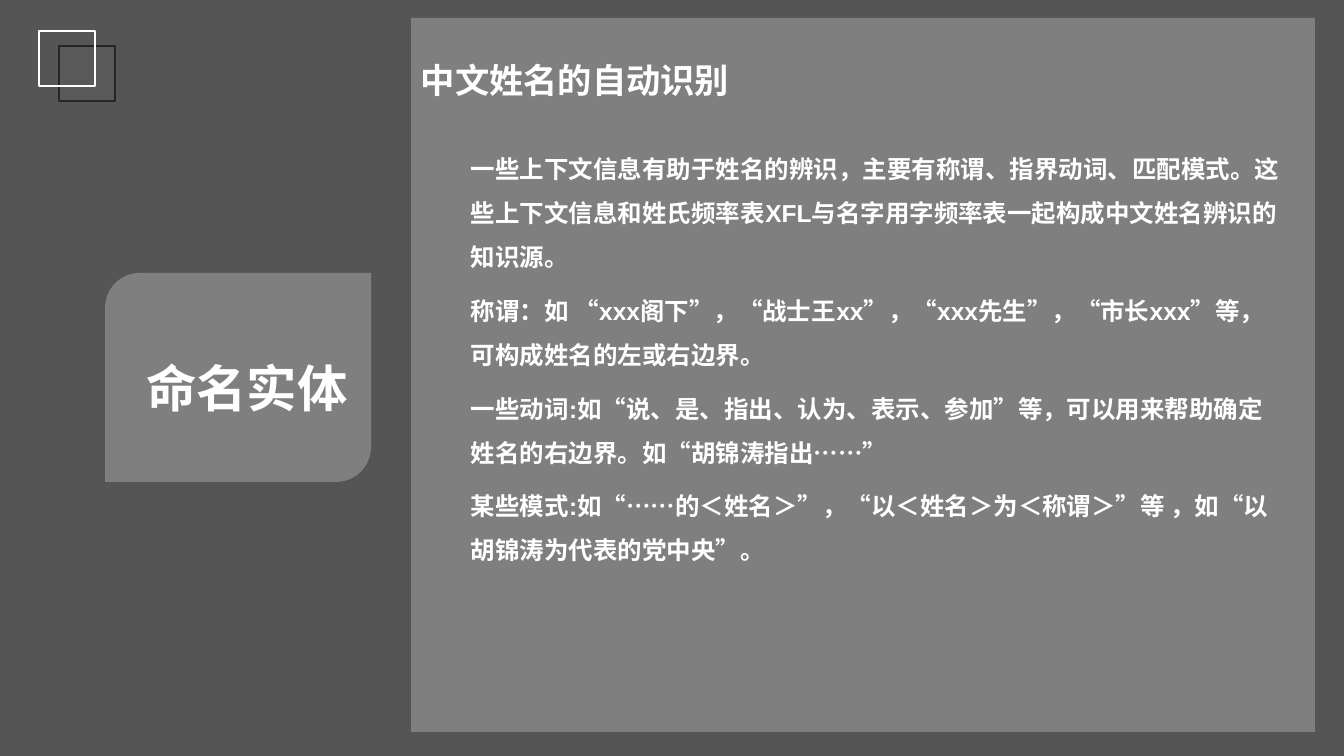
"""Build the slide on automatic recognition of Chinese personal names."""
from dataclasses import dataclass

from lxml import etree
from pptx import Presentation
from pptx.dml.color import RGBColor
from pptx.enum.shapes import MSO_SHAPE
from pptx.enum.text import MSO_ANCHOR, MSO_AUTO_SIZE, PP_ALIGN
from pptx.oxml.ns import qn
from pptx.util import Emu, Pt

RECT = MSO_SHAPE.RECTANGLE
LEAF = MSO_SHAPE.ROUND_2_DIAG_RECTANGLE
TOP, MIDDLE = MSO_ANCHOR.TOP, MSO_ANCHOR.MIDDLE
LEFT, CENTER = PP_ALIGN.LEFT, PP_ALIGN.CENTER
FIXED = MSO_AUTO_SIZE.NONE

TITLE = "命名实体"
HEAD = "中文姓名的自动识别"
BODY = [
    "一些上下文信息有助于姓名的辨识，主要有称谓、指界动词、匹配模式。这些上下文信息和姓氏频率表XFL与名字用字频率表一起构成中文姓名辨识的知识源。",
    "称谓：如 “xxx阁下”，“战士王xx”，“xxx先生”，“市长xxx”等，可构成姓名的左或右边界。",
    "一些动词:如“说、是、指出、认为、表示、参加”等，可以用来帮助确定姓名的右边界。如“胡锦涛指出……”",
    "某些模式:如“……的＜姓名＞”，“以＜姓名＞为＜称谓＞”等 ，如“以胡锦涛为代表的党中央”。",
]


@dataclass(frozen=True)
class Theme:
    """Hold the colours, fonts and type sizes."""
    white: str = "FFFFFF"
    shade: str = "0D0D0D"
    gray: str = "595959"
    edge: str = "262626"
    cjk: str = "Noto Sans CJK SC"
    latin: str = "Arial"
    title: float = 36
    head: float = 24.5
    body: float = 17.5


LOOK = Theme()
PX = 914400 / 100.8
WIDE, HIGH = 1344, 756
INDENT = 50

SHAPES = [
    (RECT, (0, 0, WIDE, HIGH), LOOK.shade, 70, None),
    (RECT, (59, 46, 56, 55), LOOK.gray, 100, LOOK.edge),
    (RECT, (39, 31, 56, 55), None, 100, LOOK.white),
    (LEAF, (105, 273, 266, 209), LOOK.white, 25, None),
    (RECT, (411, 18, 904, 714), LOOK.white, 25, None),
]
TITLE_BOX = (115, 351, 264, 73)
TEXT_BOX = (411, 31, 887, 678)


def px(num):
    """Turn px into EMU."""
    return Emu(round(num * PX))


def draw(slide, kind, box, fill, alpha, line):
    """Add one preset shape."""
    shape = slide.shapes.add_shape(kind, *map(px, box))
    shape.shadow.inherit = False
    if fill:
        shape.fill.solid()
        shape.fill.fore_color.rgb = RGBColor.from_string(fill)
        if alpha < 100:
            tint = shape.fill._xPr.find(".//" + qn("a:srgbClr"))
            etree.SubElement(tint, qn("a:alpha"), val=str(alpha * 1000))
    else:
        shape.fill.background()
    if line:
        shape.line.color.rgb = RGBColor.from_string(line)
        shape.line.width = Pt(1)
    else:
        shape.line.fill.background()


def write(para, text, size, face, align=LEFT):
    """Add one bold white run."""
    para.alignment = align
    run = para.add_run()
    run.text = text
    font = run.font
    font.size, font.bold, font.name = Pt(size), True, face
    font.color.rgb = RGBColor.from_string(LOOK.white)
    latin = run._r.rPr.find(qn("a:latin"))
    east = etree.Element(qn("a:ea"), typeface=LOOK.cjk)
    latin.addnext(east)


def frame(shape, wrap, anchor):
    """Set up and return a text frame."""
    text = shape.text_frame
    text.word_wrap, text.auto_size = wrap, FIXED
    text.vertical_anchor = anchor
    return text


def main():
    """Make the deck and save it."""
    deck = Presentation()
    deck.slide_width, deck.slide_height = px(WIDE), px(HIGH)
    slide = deck.slides.add_slide(deck.slide_layouts[5])
    for item in SHAPES:
        draw(slide, *item)

    title = slide.shapes.title
    title.left, title.top, title.width, title.height = map(px, TITLE_BOX)
    para = frame(title, False, MIDDLE).paragraphs[0]
    para.line_spacing = 1.0
    write(para, TITLE, LOOK.title, LOOK.cjk, CENTER)
    slide.shapes._spTree.append(title._element)

    box = slide.shapes.add_textbox(*map(px, TEXT_BOX))
    text = frame(box, True, TOP)
    para = text.paragraphs[0]
    para.line_spacing, para.space_after = Pt(46), Pt(21)
    write(para, HEAD, LOOK.head, LOOK.cjk)
    for line in BODY:
        para = text.add_paragraph()
        para.level = 1
        para.line_spacing, para.space_before = Pt(31.4), Pt(7)
        prop = para._p.get_or_add_pPr()
        prop.set("marL", str(px(INDENT)))
        prop.set("indent", "0")
        write(para, line, LOOK.body, LOOK.latin)
    deck.save("out.pptx")


if __name__ == "__main__":
    main()
